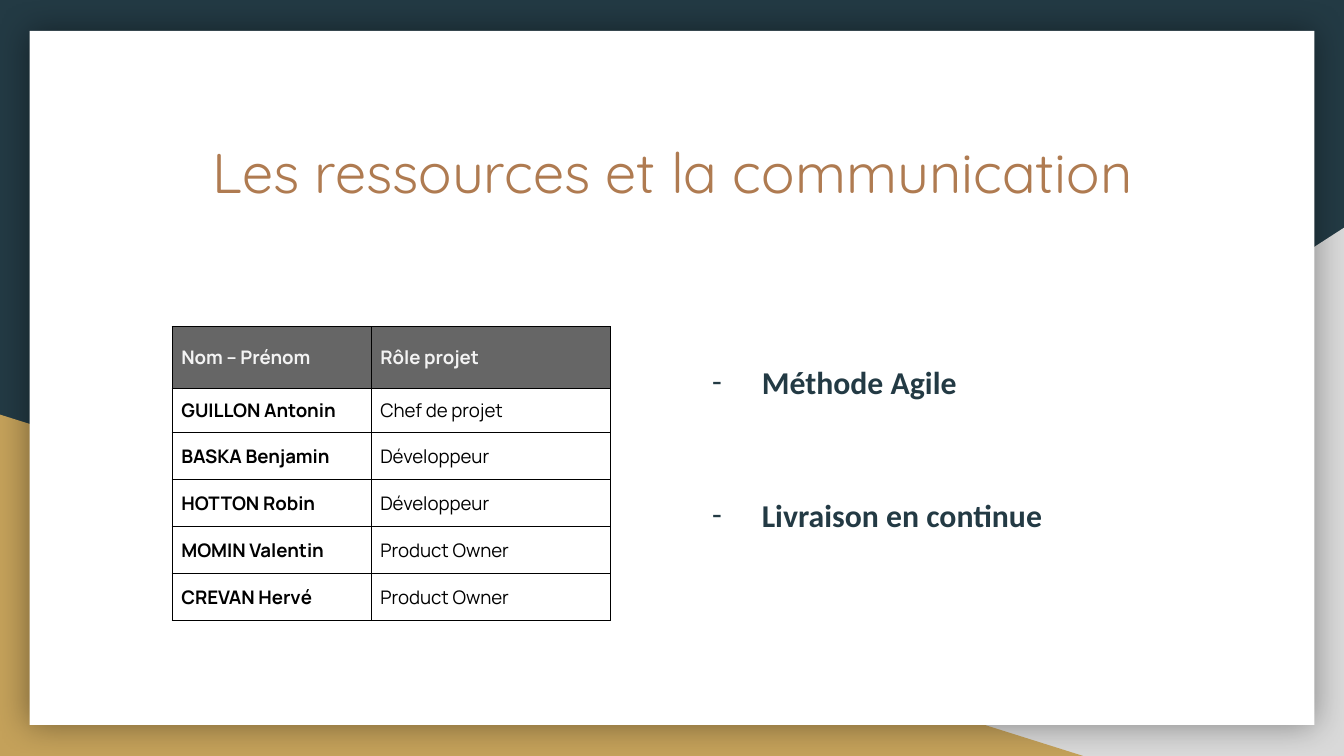
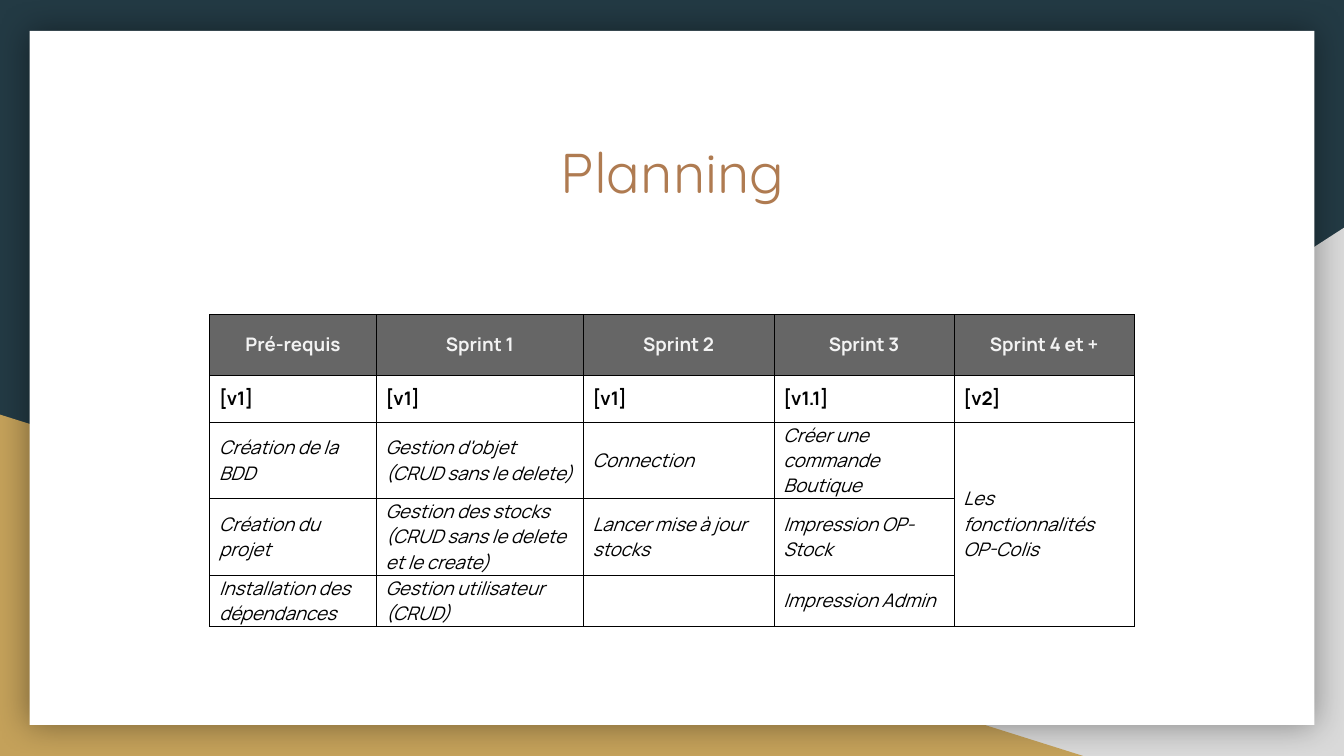
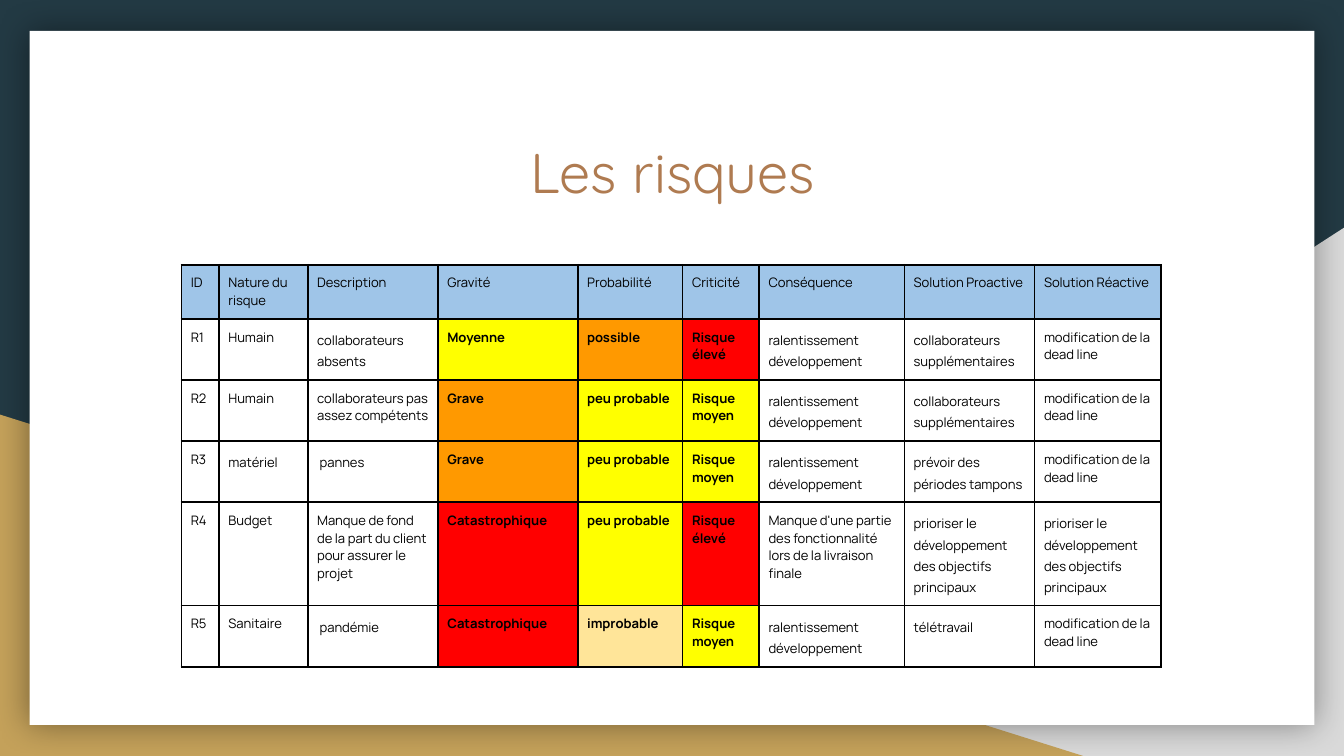
from lxml.etree import SubElement
from pptx import Presentation
from pptx.dml.color import RGBColor
from pptx.enum.shapes import MSO_SHAPE as Preset
from pptx.enum.text import MSO_ANCHOR as Anchor, MSO_AUTO_SIZE as AutoSize, PP_ALIGN as Align
from pptx.oxml.ns import qn
from pptx.util import Inches, Pt

WIDTH = 10
HEIGHT = WIDTH * 9 / 16
NAVY, GOLD, SILVER, COPPER = "233A44", "C4A15A", "D9D9D9", "AF7B51"
WHITE, BLACK, GREY, PALE, SKY = "FFFFFF", "000000", "666666", "F3F3F3", "9FC5E8"
YELLOW, ORANGE, RED, CREAM = "FFFF00", "FF9900", "FF0000", "FFE599"

PRACTICES = ["Méthode Agile", "Livraison en continue"]

TEAM = [
    ["Nom – Prénom", "Rôle projet"],
    ["GUILLON Antonin", "Chef de projet"],
    ["BASKA Benjamin", "Développeur"],
    ["HOTTON Robin", "Développeur"],
    ["MOMIN Valentin", "Product Owner"],
    ["CREVAN Hervé", "Product Owner"],
]

PLANNING = [
    ["Pré-requis", "Sprint 1", "Sprint 2", "Sprint 3", "Sprint 4 et +"],
    ["[v1]", "[v1]", "[v1]", "[v1.1]", "[v2]"],
    ["Création de la BDD", "Gestion d'objet (CRUD sans le delete)", "Connection",
     "Créer une commande Boutique", "Les fonctionnalités OP-Colis"],
    ["Création du projet", "Gestion des stocks (CRUD sans le delete et le create)",
     "Lancer mise à jour stocks", "Impression OP-Stock", ""],
    ["Installation des dépendances", "Gestion utilisateur (CRUD)", "", "Impression Admin", ""],
]

SLOWDOWN = "ralentissement développement"
BACKUP = "collaborateurs supplémentaires"
NEW_DATE = "modification de la dead line"
PRIORITIES = "prioriser le développement des objectifs principaux"

RISKS = [
    ["ID", "Nature du risque", "Description", "Gravité", "Probabilité", "Criticité",
     "Conséquence", "Solution Proactive", "Solution Réactive"],
    ["R1", "Humain", "collaborateurs absents", "Moyenne", "possible", "Risque élevé",
     SLOWDOWN, BACKUP, NEW_DATE],
    ["R2", "Humain", "collaborateurs pas assez compétents", "Grave", "peu probable",
     "Risque moyen", SLOWDOWN, BACKUP, NEW_DATE],
    ["R3", "matériel", " pannes", "Grave", "peu probable", "Risque moyen",
     SLOWDOWN, "prévoir des périodes tampons", NEW_DATE],
    ["R4", "Budget", "Manque de fond de la part du client pour assurer le projet",
     "Catastrophique", "peu probable", "Risque élevé",
     "Manque d'une partie des fonctionnalité lors de la livraison finale",
     PRIORITIES, PRIORITIES],
    ["R5", "Sanitaire", " pandémie", "Catastrophique", "improbable", "Risque moyen",
     SLOWDOWN, "télétravail", NEW_DATE],
]
RATINGS = {
    "Moyenne": YELLOW, "Grave": ORANGE, "Catastrophique": RED,
    "improbable": CREAM, "peu probable": YELLOW, "possible": ORANGE,
    "Risque moyen": YELLOW, "Risque élevé": RED,
}
LOOSE = {SLOWDOWN, BACKUP, PRIORITIES, "collaborateurs absents", "matériel", " pannes",
         "prévoir des périodes tampons", " pandémie", "télétravail"}


def color(value):
    return RGBColor.from_string(value)


def area(left, top, width, height):
    return [Inches(length) for length in (left, top, width, height)]


def style_text(para, font, size, tint, bold=False, italic=False):
    for span in para.runs:
        span.font.name = font
        span.font.size = Pt(size)
        span.font.color.rgb = color(tint)
        span.font.bold = bold
        span.font.italic = italic


def add_panel(page, preset, place, fill):
    panel = page.shapes.add_shape(preset, *area(*place))
    panel.fill.solid()
    panel.fill.fore_color.rgb = color(fill)
    panel.line.fill.background()
    panel.shadow.inherit = False
    return panel


def add_card_shadow(card):
    effects = card.element.spPr.find(qn("a:effectLst"))
    shadow = SubElement(effects, qn("a:outerShdw"), blurRad=str(Pt(18)), dist="0",
                        algn="ctr", rotWithShape="0")
    tint = SubElement(shadow, qn("a:srgbClr"), val=BLACK)
    SubElement(tint, qn("a:alpha"), val="40000")


def add_page(deck, heading):
    page = deck.slides.add_slide(deck.slide_layouts[5])
    page.background.fill.solid()
    page.background.fill.fore_color.rgb = color(NAVY)
    silver = add_panel(page, Preset.RIGHT_TRIANGLE,
                       (WIDTH - 6.08, HEIGHT - 3.93, 6.08, 3.93), SILVER)
    silver.element.spPr.find(qn("a:xfrm")).set("flipH", "1")
    add_panel(page, Preset.RIGHT_TRIANGLE, (0, HEIGHT - 2.54, 8.06, 2.54), GOLD)
    margin = 0.22
    card = add_panel(page, Preset.RECTANGLE,
                     (margin, 0.23, WIDTH - 2 * margin, HEIGHT - 0.46), WHITE)
    add_card_shadow(card)

    title = page.shapes.title
    card.element.addnext(title.element)
    title.left, title.top, title.width, title.height = area(0.9, 0.92, 8.21, 1.04)
    frame = title.text_frame
    frame.text = heading
    set_frame(frame, 0.1)
    frame.paragraphs[0].alignment = Align.CENTER
    style_text(frame.paragraphs[0], "Quicksand", 30, COPPER)
    return page


def set_frame(frame, inset):
    frame.word_wrap = True
    frame.auto_size = AutoSize.NONE
    frame.vertical_anchor = Anchor.TOP
    frame.margin_left = frame.margin_right = Inches(inset)
    frame.margin_top = frame.margin_bottom = Inches(inset)


def set_borders(cell, weight):
    props = cell._tc.get_or_add_tcPr()
    for side in ("lnL", "lnR", "lnT", "lnB"):
        line = SubElement(props, qn(f"a:{side}"), w=str(Pt(weight)))
        fill = SubElement(line, qn("a:solidFill"))
        SubElement(fill, qn("a:srgbClr"), val=BLACK)


def add_grid(page, corner, columns, heights, rows, look, size=10, inset=0,
             border=0.5, anchor=Anchor.MIDDLE):
    place = area(*corner, sum(columns), sum(heights))
    table = page.shapes.add_table(len(rows), len(columns), *place).table
    table.horz_banding = False
    for column, width in zip(table.columns, columns):
        column.width = Inches(width)
    for row, height in zip(table.rows, heights):
        row.height = Inches(height)
    for r, texts in enumerate(rows):
        for c, text in enumerate(texts):
            cell = table.cell(r, c)
            cell.margin_left = cell.margin_right = Inches(0.07)
            cell.margin_top = cell.margin_bottom = Inches(inset)
            cell.vertical_anchor = anchor
            set_borders(cell, border)
            fill, tint, bold, italic, align = look(r, c, text)
            if fill:
                cell.fill.solid()
                cell.fill.fore_color.rgb = color(fill)
            else:
                cell.fill.background()
            if text:
                cell.text_frame.text = text
                para = cell.text_frame.paragraphs[0]
                para.alignment = align
                style_text(para, "Manrope", size, tint, bold, italic)
                if text in LOOSE:
                    para.line_spacing = 1.2
                    para.space_before = Pt(6)
    return table


def team_look(r, c, text):
    if r == 0:
        return GREY, PALE, True, False, Align.JUSTIFY
    return None, BLACK, c == 0, False, Align.LEFT


def planning_look(r, c, text):
    if r == 0:
        return GREY, PALE, True, False, Align.CENTER
    return None, BLACK, r == 1, r > 1, Align.LEFT


def risk_look(r, c, text):
    fill = SKY if r == 0 else RATINGS.get(text)
    return fill, BLACK, text in RATINGS, False, Align.LEFT


def add_practices(page):
    box = page.shapes.add_textbox(*area(5.07, 2.18, 4.03, 2.68))
    frame = box.text_frame
    frame.text = "\n".join(PRACTICES)
    set_frame(frame, 0.1)
    frame.margin_top = Inches(0.48)
    for index, para in enumerate(frame.paragraphs):
        para.line_spacing = 1.15
        para.space_before = Pt(47.5 if index else 0)
        style_text(para, "Calibri", 17, NAVY, bold=True)
        props = para._p.get_or_add_pPr()
        props.set("marL", str(Inches(0.5)))
        props.set("indent", str(Inches(-0.37)))
        tint = SubElement(props, qn("a:buClr"))
        SubElement(tint, qn("a:srgbClr"), val=NAVY)
        SubElement(props, qn("a:buFont"), typeface="Calibri")
        SubElement(props, qn("a:buChar"), char="-")


def main():
    deck = Presentation()
    deck.slide_width, deck.slide_height = Inches(WIDTH), Inches(HEIGHT)

    page = add_page(deck, "Les ressources et la communication")
    add_practices(page)
    add_grid(page, (1.28, 2.43), [1.48, 1.78], [0.46, 0.33] + [0.35] * 4, TEAM, team_look)

    page = add_page(deck, "Planning")
    planning = add_grid(page, (1.56, 2.34), [1.24, 1.54, 1.42, 1.34, 1.34],
                        [0.45, 0.35, 0.57, 0.57, 0.38], PLANNING, planning_look)
    planning.cell(2, 4).merge(planning.cell(4, 4))

    page = add_page(deck, "Les risques")
    add_grid(page, (1.35, 1.97), [0.28, 0.66, 0.97, 1.04, 0.78, 0.57, 1.08, 0.97, 0.94],
             [0.4, 0.45, 0.45, 0.45, 0.77, 0.45], RISKS, risk_look,
             size=7, inset=0.07, border=1, anchor=Anchor.TOP)

    deck.save("out.pptx")


if __name__ == "__main__":
    main()
